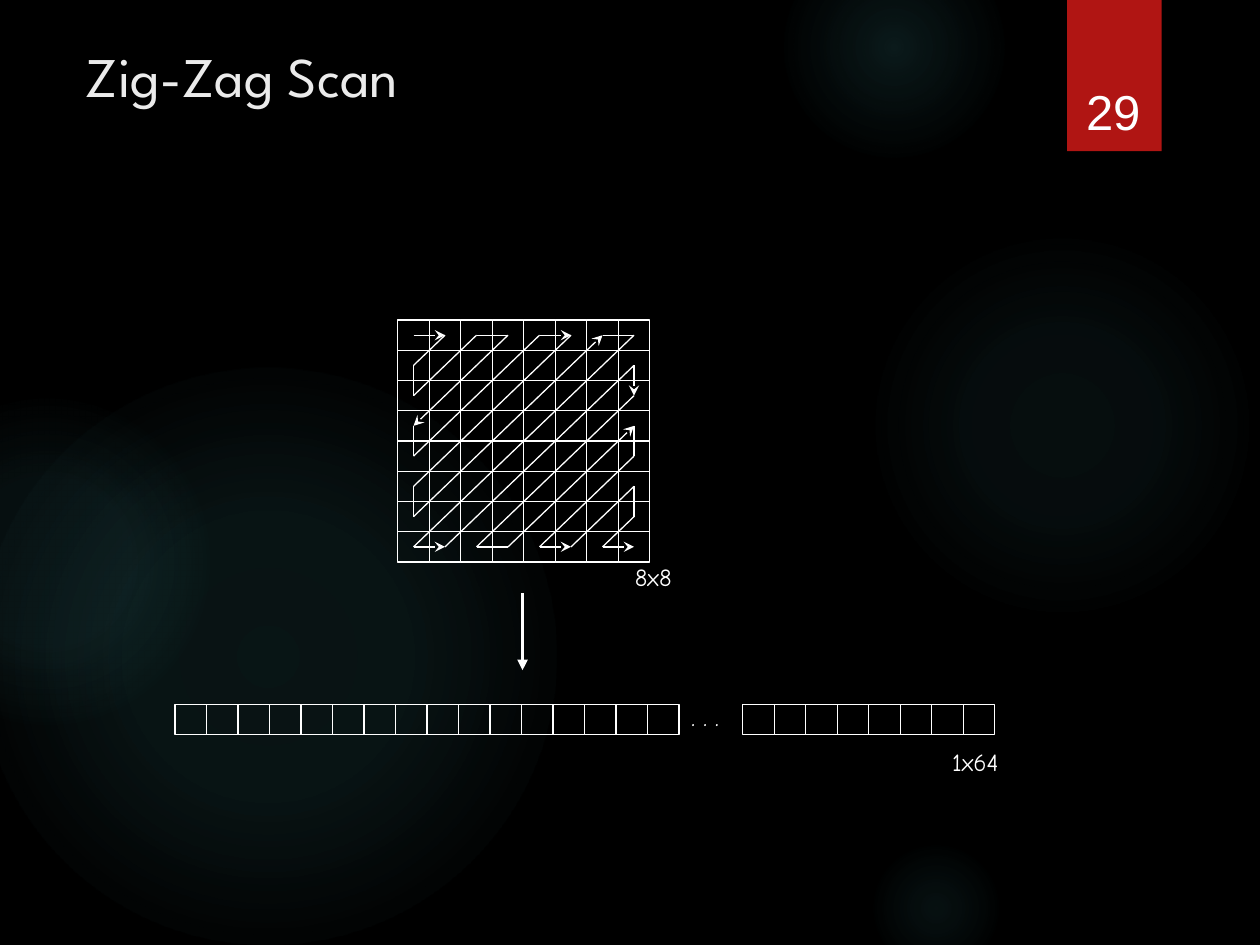
from lxml import etree
from pptx import Presentation
from pptx import util as u
from pptx.dml.color import RGBColor
from pptx.enum import shapes, text
from pptx.oxml import parse_xml
from pptx.oxml.ns import qn

Pt = u.Pt
WHITE = "FFFFFF"
CELL_W, CELL_H = 18, 17.28
SIZE = 8
ARROW_STEPS = {1, 6, 9, 12, 15, 17, 20, 23, 27}
A_NS = "http://schemas.openxmlformats.org/drawingml/2006/main"


def rgb(color):
    """Turn a hex string into a colour."""
    return RGBColor.from_string(color)


def add_shape(s, kind, x, y, w, h, fill=None, line=None):
    """Add a flat preset shape with an optional fill and outline."""
    sp = s.shapes.add_shape(kind, Pt(x), Pt(y), Pt(w), Pt(h))
    sp.shadow.inherit = False
    if fill:
        sp.fill.solid()
        sp.fill.fore_color.rgb = rgb(fill)
    else:
        sp.fill.background()
    if line:
        sp.line.color.rgb = rgb(line)
        sp.line.width = Pt(0.75)
    else:
        sp.line.fill.background()
    return sp


def add_glow(s, x, y, d, stops):
    """Add a round glow that fades out from its centre."""
    sp = add_shape(s, shapes.MSO_SHAPE.OVAL, x, y, d, d)
    stops_xml = "".join(
        f'<a:gs pos="{pos * 1000}"><a:srgbClr val="50B9C1">'
        f'<a:alpha val="{alpha * 1000}"/></a:srgbClr></a:gs>'
        for pos, alpha in stops)
    grad = parse_xml(
        f'<a:gradFill xmlns:a="{A_NS}" rotWithShape="1"><a:gsLst>{stops_xml}</a:gsLst>'
        '<a:path path="circle"><a:fillToRect l="50000" t="50000" r="50000" b="50000"/>'
        '</a:path></a:gradFill>')
    props = sp.element.spPr
    props.replace(props.find(qn("a:noFill")), grad)


def add_line(s, start, end, width=0.75, arrow=None):
    """Add a straight white line with an optional arrowhead at its end."""
    c = s.shapes.add_connector(shapes.MSO_CONNECTOR.STRAIGHT,
                               *(Pt(v) for v in (*start, *end)))
    c.line.color.rgb = rgb(WHITE)
    c.line.width = Pt(width)
    if arrow:
        etree.SubElement(c.line._get_or_add_ln(), qn("a:tailEnd"), type=arrow)
    etree.SubElement(c.element.spPr, qn("a:effectLst"))


def add_text(s, words, x, y, w, h, size, font, color=WHITE, wrap=False,
             anchor=text.MSO_ANCHOR.TOP, align=text.PP_ALIGN.LEFT):
    """Add a one-line text box."""
    tf = s.shapes.add_textbox(Pt(x), Pt(y), Pt(w), Pt(h)).text_frame
    tf.text = words
    tf.word_wrap = wrap
    tf.vertical_anchor = anchor
    p = tf.paragraphs[0]
    p.alignment = align
    r = p.runs[0]
    r.font.size = Pt(size)
    r.font.name = font
    r.font.color.rgb = rgb(color)


def add_label(s, words, x, y, w):
    """Add a small caption."""
    add_text(s, words, x, y, w, 26.64, 14, "Comic Neue")


def add_cells(s, x, y, cols, rows=1):
    """Add a block of outlined cells."""
    for row in range(rows):
        for col in range(cols):
            add_shape(s, shapes.MSO_SHAPE.RECTANGLE, x + col * CELL_W,
                      y + row * CELL_H, CELL_W, CELL_H, line=WHITE)


def zigzag_turns(n):
    """List the (column, row) cells where a zig-zag scan changes direction."""
    turns = [(0, 0)]
    for total in range(1, 2 * n - 2):
        low, high = max(0, total - n + 1), min(total, n - 1)
        ends = [(high, total - high), (low, total - low)]
        turns += ends if total % 2 else ends[::-1]
    return turns + [(n - 1, n - 1)]


def backdrop(s):
    """Fill the background and add the glows."""
    s.background.fill.solid()
    s.background.fill.fore_color.rgb = rgb("000000")
    add_glow(s, 496, 132, 222, [(0, 7), (36, 6), (69, 0)])
    add_glow(s, 448, -36, 126, [(0, 14), (36, 7), (73, 0)])
    add_glow(s, 496, 480, 78, [(0, 9), (36, 5), (66, 0)])
    add_glow(s, -12, 210, 330, [(0, 11), (36, 10), (75, 0)])
    add_glow(s, -66, 228, 186, [(0, 8), (36, 8), (72, 0)])


def header(s, x, y, w):
    """Add the title and the page number tag."""
    add_shape(s, shapes.MSO_SHAPE.RECTANGLE, x + 568, 0, 54, 86.4, fill="B01513")
    add_text(s, "Zig-Zag Scan", x, y, w, 50.4, 32, "League Spartan", "EBEBEB",
             wrap=True, anchor=text.MSO_ANCHOR.MIDDLE)
    add_text(s, "29", x + 569.5, y + 5, 49.7, 60.5, 28, "Arial", wrap=True,
             anchor=text.MSO_ANCHOR.BOTTOM, align=text.PP_ALIGN.CENTER)


def scan_grid(s, x, y):
    """Add the square block with its zig-zag path."""
    add_cells(s, x, y, SIZE, SIZE)
    add_label(s, "8x8", x + 128.4, y + 134.6, 39.6)
    points = [(x + (col + 0.5) * CELL_W, y + (row + 0.5) * CELL_H)
              for col, row in zigzag_turns(SIZE)]
    for step, (start, end) in enumerate(zip(points, points[1:]), 1):
        add_line(s, start, end, arrow="stealth" if step in ARROW_STEPS else None)


def vector_row(s, x, y):
    """Add the flattened row with its gap and caption."""
    add_cells(s, x, y, 16)
    add_label(s, ". . .", x + 288, y - 5, 33.1)
    add_cells(s, x + 324.5, y, 8)
    add_label(s, "1x64", x + 437, y + 20.9, 46.1)


def main():
    """Build the slide."""
    prs = Presentation()
    prs.slide_width, prs.slide_height = Pt(720), Pt(540)
    s = prs.slides.add_slide(prs.slide_layouts[6])
    backdrop(s)
    header(s, 41.8, 18, 612)
    scan_grid(s, 227.3, 182.9)
    add_line(s, (298.6, 339), (298.6, 383), width=2, arrow="triangle")
    vector_row(s, 100, 402.5)
    prs.save("out.pptx")


if __name__ == "__main__":
    main()
